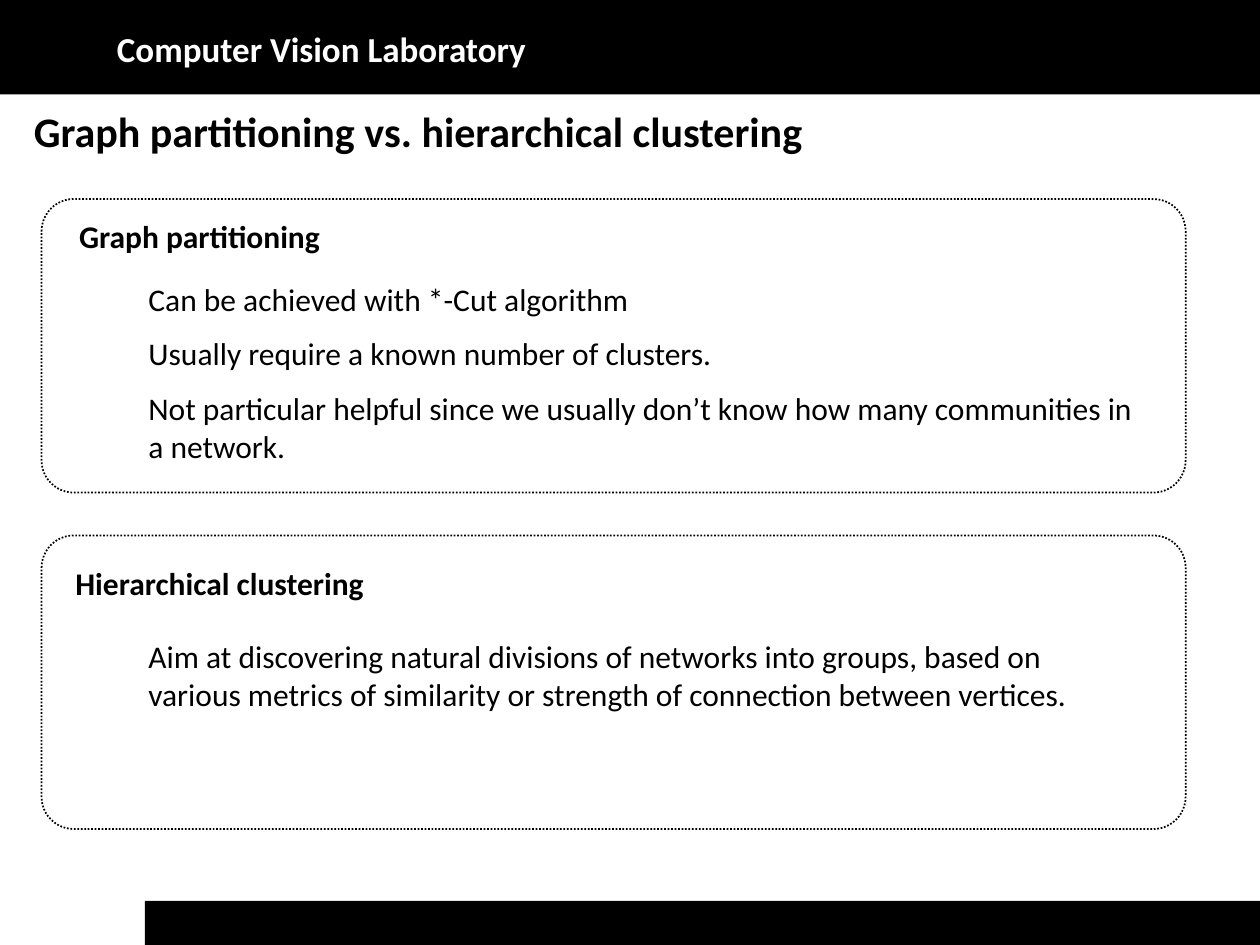
from pptx import Presentation
from pptx import util as u
from pptx.dml.color import RGBColor
from pptx.enum import dml, shapes, text

PX = 9144  # one px is 1/100 inch
FONT = "Calibri"
COLORS = {"black": "000000", "white": "FFFFFF"}

# Content: left, top, width, height in px
BARS = [(0, 0, 1000, 75), (115, 715, 885, 35)]
PANELS = [(33, 158, 908, 233), (33, 425, 908, 233)]

# Content: text, box, size, bold, colour, wrap
LAB = ("Computer Vision Laboratory", (83, 17, 694, 44), 20, True, "white", True)
TITLE = ("Graph partitioning vs. hierarchical clustering",
         (17, 75, 850, 58), 24, True, "black", True)
HEADINGS = [
    ("Graph partitioning", (53, 167, 213, 40)),
    ("Hierarchical clustering", (50, 443, 251, 40)),
]
POINTS = [
    ("Can be achieved with *-Cut algorithm", (108, 217, 406, 40), False),
    ("Usually require a known number of clusters.", (108, 260, 472, 40), False),
    ("Not particular helpful since we usually don’t know how many communities "
     "in a network.", (108, 304, 817, 71), True),
    ("Aim at discovering natural divisions of networks into groups, based on "
     "various metrics of similarity or strength of connection between vertices.",
     (108, 501, 800, 71), True),
]


def emu(box):
    return [v * PX for v in box]


def rgb(name):
    return RGBColor.from_string(COLORS[name])


def add_bar(s, box):
    sp = s.shapes.add_shape(shapes.MSO_SHAPE.RECTANGLE, *emu(box))
    sp.shadow.inherit = False
    sp.fill.solid()
    sp.fill.fore_color.rgb = rgb("black")
    sp.line.fill.background()


def add_panel(s, box):
    sp = s.shapes.add_shape(shapes.MSO_SHAPE.ROUNDED_RECTANGLE, *emu(box))
    sp.adjustments[0] = 0.11
    sp.shadow.inherit = False
    sp.fill.background()
    sp.line.color.rgb = rgb("black")
    sp.line.width = u.Pt(1)
    sp.line.dash_style = dml.MSO_LINE.ROUND_DOT  # stored as sysDot


def fill_text(sp, content, size, bold, color, wrap):
    tf = sp.text_frame
    tf.text = content
    tf.word_wrap = wrap
    p = tf.paragraphs[0]
    p.alignment = text.PP_ALIGN.LEFT
    font = p.runs[0].font
    font.name, font.size, font.bold = FONT, u.Pt(size), bold
    font.color.rgb = rgb(color)
    return tf


def add_text(s, content, box, size=18, bold=False, color="black", wrap=False):
    sp = s.shapes.add_textbox(*emu(box))
    return fill_text(sp, content, size, bold, color, wrap)


def main():
    prs = Presentation()
    prs.slide_width, prs.slide_height = emu((1000, 750))
    s = prs.slides.add_slide(prs.slide_layouts[6])

    # Header and footer bars
    for box in BARS:
        add_bar(s, box)
    add_text(s, *LAB)

    # Title
    add_text(s, *TITLE).vertical_anchor = text.MSO_ANCHOR.MIDDLE

    # Headings and points
    for content, box in HEADINGS:
        add_text(s, content, box, bold=True)
    for content, box, wrap in POINTS:
        add_text(s, content, box, wrap=wrap)

    # Dotted panels
    for box in PANELS:
        add_panel(s, box)

    prs.save("out.pptx")


if __name__ == "__main__":
    main()
